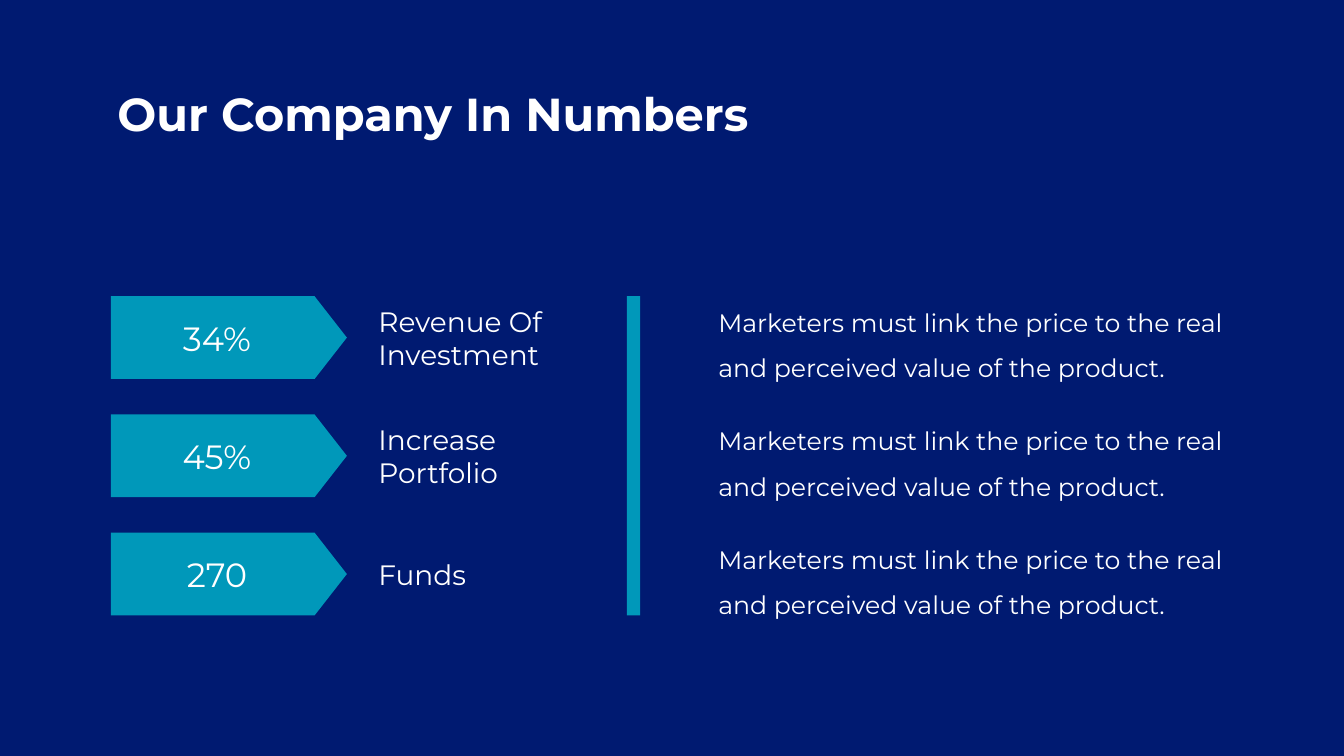
from pptx import Presentation
from pptx.dml.color import RGBColor
from pptx.enum.shapes import MSO_SHAPE as Shape
from pptx.enum.text import MSO_ANCHOR as Anchor, MSO_AUTO_SIZE as AutoSize, PP_ALIGN as Align
from pptx.util import Pt

NAVY, TEAL, WHITE = "001A71", "0098BA", "FFFFFF"
FONT = "Montserrat"
DESCRIPTION = "Marketers must link the price to the real and perceived value of the product."
METRICS = [
    ("34%", "Revenue Of Investment", DESCRIPTION),
    ("45%", "Increase Portfolio", DESCRIPTION),
    ("270", "Funds", DESCRIPTION),
]
ROW_HEIGHT = 118.2
ROW_PITCH = 168.9


def fill_with(fill, color):
    fill.solid()
    fill.fore_color.rgb = RGBColor.from_string(color)


def write(shape, text, size, align=Align.LEFT, bold=False, spacing=1.0):
    frame = shape.text_frame
    frame.word_wrap = True
    frame.auto_size = AutoSize.NONE
    frame.vertical_anchor = Anchor.MIDDLE
    paragraph = frame.paragraphs[0]
    paragraph.text = text
    paragraph.alignment = align
    paragraph.line_spacing = spacing
    font = paragraph.font
    font.name, font.size, font.bold = FONT, Pt(size), bold
    font.color.rgb = RGBColor.from_string(WHITE)


def add_block(slide, kind, left, top, width, height):
    block = slide.shapes.add_shape(kind, Pt(left), Pt(top), Pt(width), Pt(height))
    block.shadow.inherit = False
    fill_with(block.fill, TEAL)
    block.line.fill.background()
    return block


def add_text(slide, left, top, width, height, text, size, spacing=1.0):
    box = slide.shapes.add_textbox(Pt(left), Pt(top), Pt(width), Pt(height))
    write(box, text, size, spacing=spacing)


def place_title(slide, left, top, width, height):
    title = slide.shapes.title
    title.left, title.top, title.width, title.height = map(Pt, (left, top, width, height))
    write(title, "Our Company In Numbers", 66, bold=True)


def add_metric(slide, left, top, height, value, label, description):
    arrow = add_block(slide, Shape.PENTAGON, left, top, 337, height)
    arrow.adjustments[0] = 0.39
    write(arrow, value, 48, Align.CENTER)
    arrow.text_frame.margin_left = 0
    arrow.text_frame.margin_right = Pt(11)
    add_text(slide, left + 375, top, 333, height, label, 40)
    text_height = 131
    text_top = top + (height - text_height) / 2
    add_text(slide, left + 860.4, text_top, 741.6, text_height, description, 36, 1.5)


def add_metrics(slide, left, top):
    for index, metric in enumerate(METRICS):
        add_metric(slide, left, top + index * ROW_PITCH, ROW_HEIGHT, *metric)
    height = (len(METRICS) - 1) * ROW_PITCH + ROW_HEIGHT
    add_block(slide, Shape.RECTANGLE, left + 737.1, top, 18.7, height)


def main():
    presentation = Presentation()
    presentation.slide_width, presentation.slide_height = Pt(1919.52), Pt(1080)
    slide = presentation.slides.add_slide(presentation.slide_layouts.get_by_name("Title Only"))
    fill_with(slide.background.fill, NAVY)
    place_title(slide, 160.6, 118, 1183, 87)
    add_metrics(slide, 158.4, 423.2)
    presentation.save("out.pptx")


if __name__ == "__main__":
    main()
